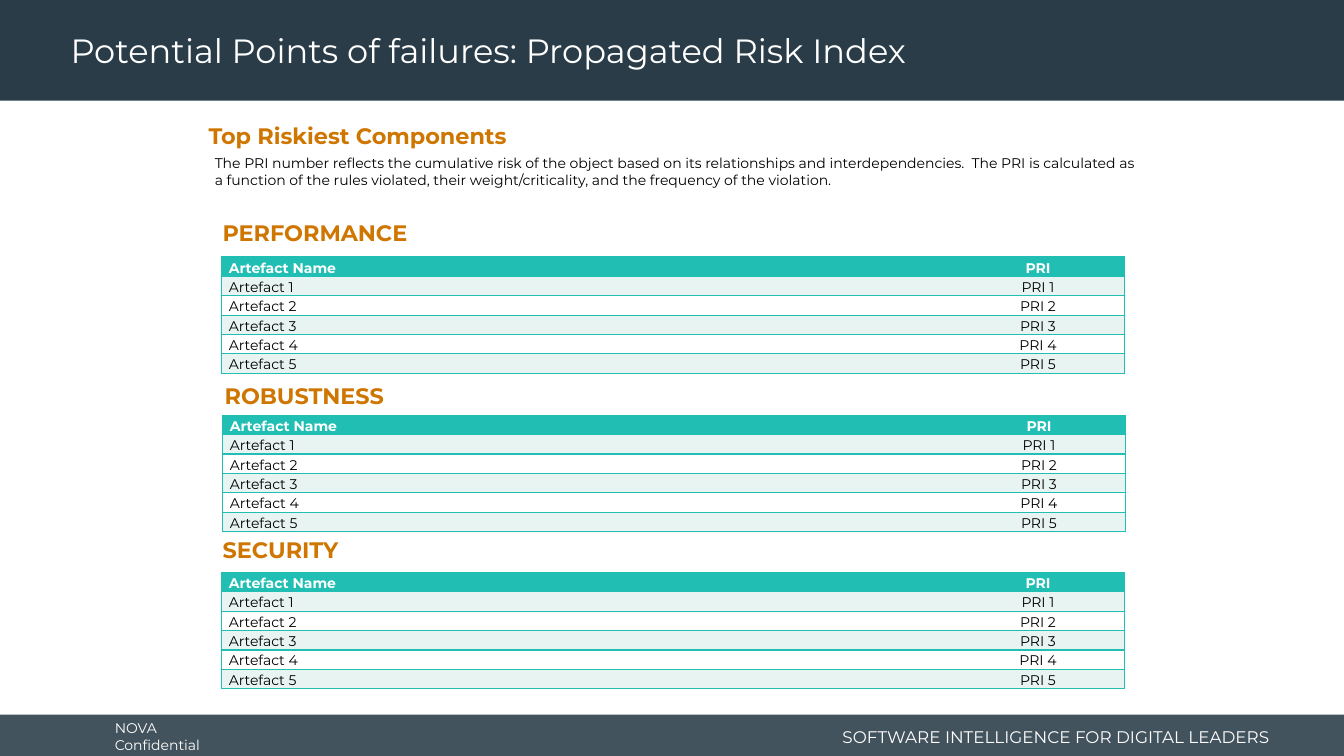
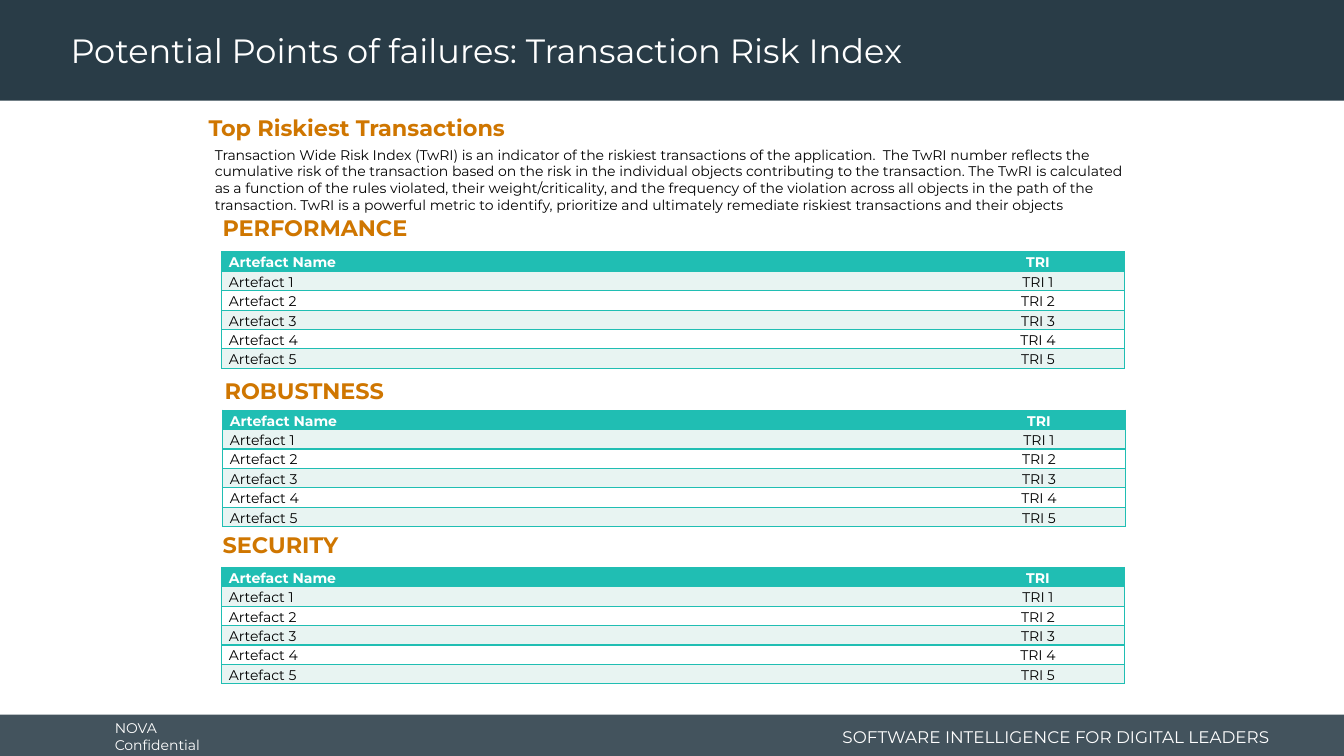
from lxml import etree
from pptx import Presentation
from pptx.dml.color import RGBColor
from pptx.enum.shapes import MSO_SHAPE
from pptx.enum.text import MSO_ANCHOR, MSO_AUTO_SIZE, PP_ALIGN
from pptx.oxml.ns import qn
from pptx.util import Inches, Pt

RECT = MSO_SHAPE.RECTANGLE
MIDDLE = MSO_ANCHOR.MIDDLE
NO_FIT, GROW = MSO_AUTO_SIZE.NONE, MSO_AUTO_SIZE.SHAPE_TO_FIT_TEXT
LEFT, CENTER, RIGHT = PP_ALIGN.LEFT, PP_ALIGN.CENTER, PP_ALIGN.RIGHT

FONT = "Montserrat"
NAVY, TEAL, MINT = "293C47", "20BEB3", "E8F4F2"
ORANGE, WHITE, BLACK = "CF7600", "FFFFFF", "000000"
PLAIN_STYLE = "{2D5ABB26-0587-4C30-8999-92F81FD0307C}"  # no style, no grid

PAGES = [
    {
        "title": "Potential Points of failures: Propagated Risk Index",
        "head": "Top Riskiest Components",
        "text": "The PRI number reflects the cumulative risk of the object based on "
                "its relationships and interdependencies.  The PRI is calculated as "
                "a function of the rules violated, their weight/criticality, and the "
                "frequency of the violation.",
        "index": "PRI", "head_top": 1.16, "table_top": 2.55,
    },
    {
        "title": "Potential Points of failures: Transaction Risk Index",
        "head": "Top Riskiest Transactions",
        "text": "Transaction Wide Risk Index (TwRI) is an indicator of the riskiest "
                "transactions of the application.  The TwRI number reflects the "
                "cumulative risk of the transaction based on the risk in the "
                "individual objects contributing to the transaction. The TwRI is "
                "calculated as a function of the rules violated, their "
                "weight/criticality, and the frequency of the violation across all "
                "objects in the path of the transaction. TwRI is a powerful metric "
                "to identify, prioritize and ultimately remediate riskiest "
                "transactions and their objects",
        "index": "TRI", "head_top": 1.08, "table_top": 2.5,
    },
]

# Name, left of heading, left of table, then both tops from the first table's top
GROUPS = [
    ("PERFORMANCE", 2.11, 2.2, -0.42, 0),
    ("ROBUSTNESS", 2.13, 2.21, 1.19, 1.57),
    ("SECURITY", 2.11, 2.2, 2.72, 3.13),
]


def write(frame, text, size, color, bold=False, align=LEFT, space=1.0):
    para = frame.paragraphs[0]
    para.alignment, para.line_spacing = align, space
    run = para.add_run()
    run.text = text
    font = run.font
    font.name, font.size, font.bold = FONT, Pt(size), bold
    font.color.rgb = RGBColor.from_string(color)


def add_text(slide, at, text, size, color, bold=False, align=LEFT):
    box = slide.shapes.add_textbox(*map(Inches, at))
    box.text_frame.word_wrap = True
    write(box.text_frame, text, size, color, bold, align)
    return box


prs = Presentation()
prs.slide_width, prs.slide_height = Inches(13.33), Inches(7.5)
layout = prs.slide_layouts[5]
slides = [prs.slides.add_slide(layout) for page in PAGES]

# Shared bands and footer texts, moved to the layout
for item in list(layout.placeholders)[1:]:
    layout.shapes.element.remove(item.element)
shared = []
for top, height, alpha in [(7.09, 0.44, 88), (0, 1, 100)]:
    band = slides[0].shapes.add_shape(
        RECT, 0, Inches(top), prs.slide_width, Inches(height))
    band.shadow.inherit = False
    band.line.fill.background()
    band.fill.solid()
    band.fill.fore_color.rgb = RGBColor.from_string(NAVY)
    if alpha < 100:
        tint = band.element.spPr.find(".//" + qn("a:srgbClr"))
        etree.SubElement(tint, qn("a:alpha"), val=str(alpha * 1000))
    shared.append(band)
note = add_text(slides[0], (1.04, 7.11, 1.48, 0.4), "NOVA Confidential", 10, WHITE)
note.text_frame.word_wrap = False
motto = add_text(slides[0], (8.11, 7.15, 4.58, 0.32),
                 "SOFTWARE INTELLIGENCE FOR DIGITAL LEADERS", 12, WHITE, align=RIGHT)
for box in (note, motto):
    box.text_frame.vertical_anchor = MIDDLE
    shared.append(box)
for shape in shared:
    layout.shapes.element.append(shape.element)

for slide, page in zip(slides, PAGES):
    # Title
    title = slide.shapes.title
    title.left, title.top = Inches(0.6), Inches(0.04)
    title.width, title.height = Inches(9.58), Inches(0.96)
    title.text_frame.auto_size = NO_FIT
    title.text_frame.vertical_anchor = MIDDLE
    write(title.text_frame, page["title"], 24, WHITE, space=0.9)

    # Introduction
    top = page["head_top"]
    head = add_text(slide, (1.97, top, 6.98, 0.37), page["head"], 16, ORANGE, True)
    head.text_frame.auto_size = GROW
    body = add_text(slide, (2.13, top + 0.37, 9.18, 0.55), page["text"], 10, BLACK)
    frame = body.text_frame
    frame.margin_left = frame.margin_right = 0
    frame.margin_top = frame.margin_bottom = 0

    # Headings and tables
    index = page["index"]
    rows = [("Artefact Name", index)]
    rows += [(f"Artefact {n}", f"{index} {n}") for n in range(1, 6)]
    for name, head_left, left, head_gap, gap in GROUPS:
        top = page["table_top"]
        head = add_text(slide, (head_left, top + head_gap, 2.08, 0.37),
                        name, 16, ORANGE, True)
        head.text_frame.auto_size = GROW
        holder = slide.shapes.add_table(
            len(rows), 2, Inches(left), Inches(top + gap), Inches(8.95), Inches(1.06))
        holder.element.find(".//" + qn("a:tableStyleId")).text = PLAIN_STYLE
        table = holder.table
        table.horz_banding = False
        table.columns[0].width, table.columns[1].width = Inches(7.24), Inches(1.71)
        for r, row in enumerate(rows):
            fill = TEAL if r == 0 else MINT if r % 2 else WHITE
            for c, text in enumerate(row):
                cell = table.cell(r, c)
                cell.margin_left = cell.margin_right = Inches(0.07)
                cell.margin_top = cell.margin_bottom = 0
                props = cell._tc.get_or_add_tcPr()
                for side in ("lnR" if c else "lnL", "lnT", "lnB"):
                    edge = etree.SubElement(props, qn("a:" + side), w=str(Pt(1)))
                    paint = etree.SubElement(edge, qn("a:solidFill"))
                    etree.SubElement(paint, qn("a:srgbClr"), val=TEAL)
                cell.fill.solid()
                cell.fill.fore_color.rgb = RGBColor.from_string(fill)
                write(cell.text_frame, text, 10, BLACK if r else WHITE, r == 0,
                      CENTER if c else LEFT, 1.15)

prs.save("out.pptx")
